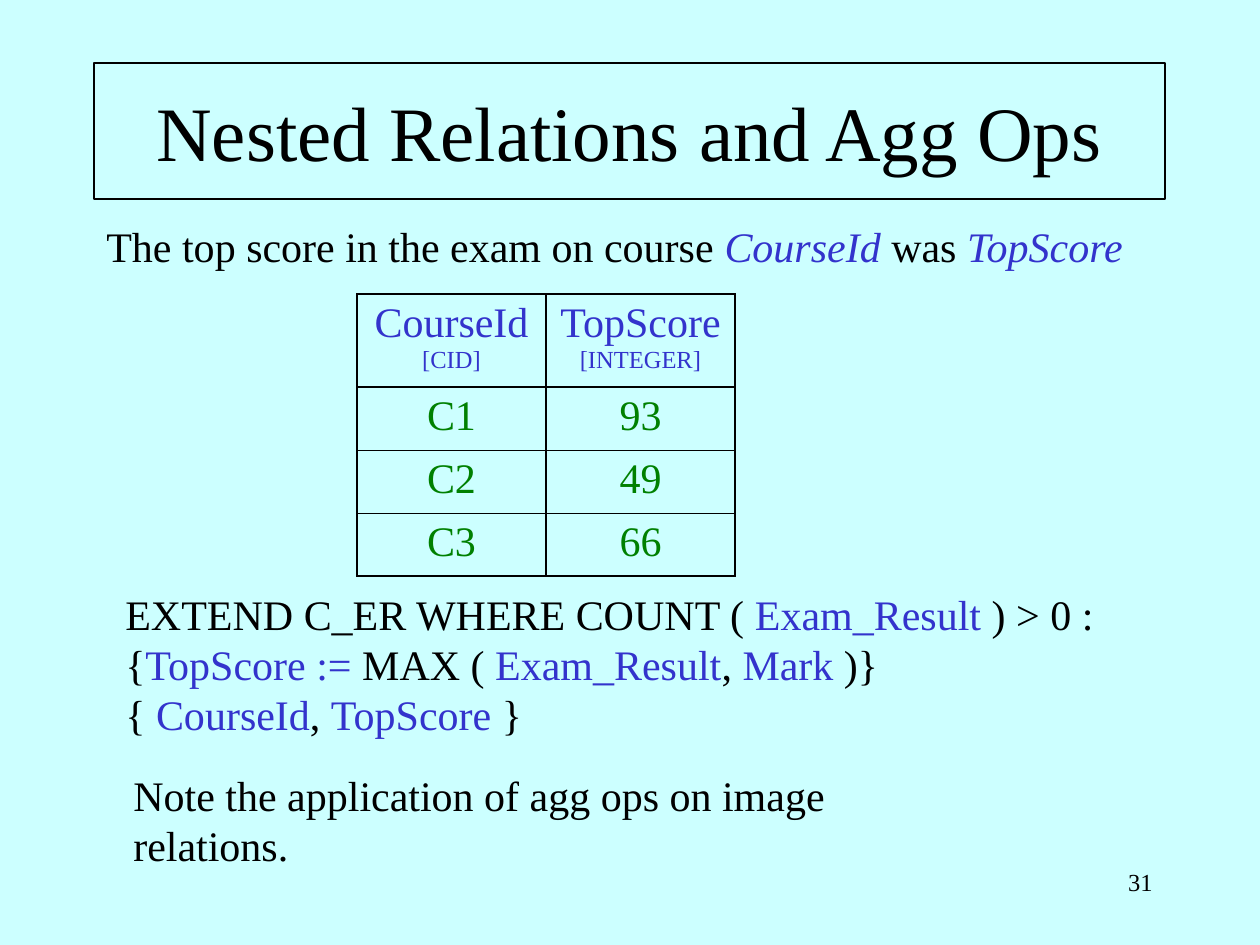
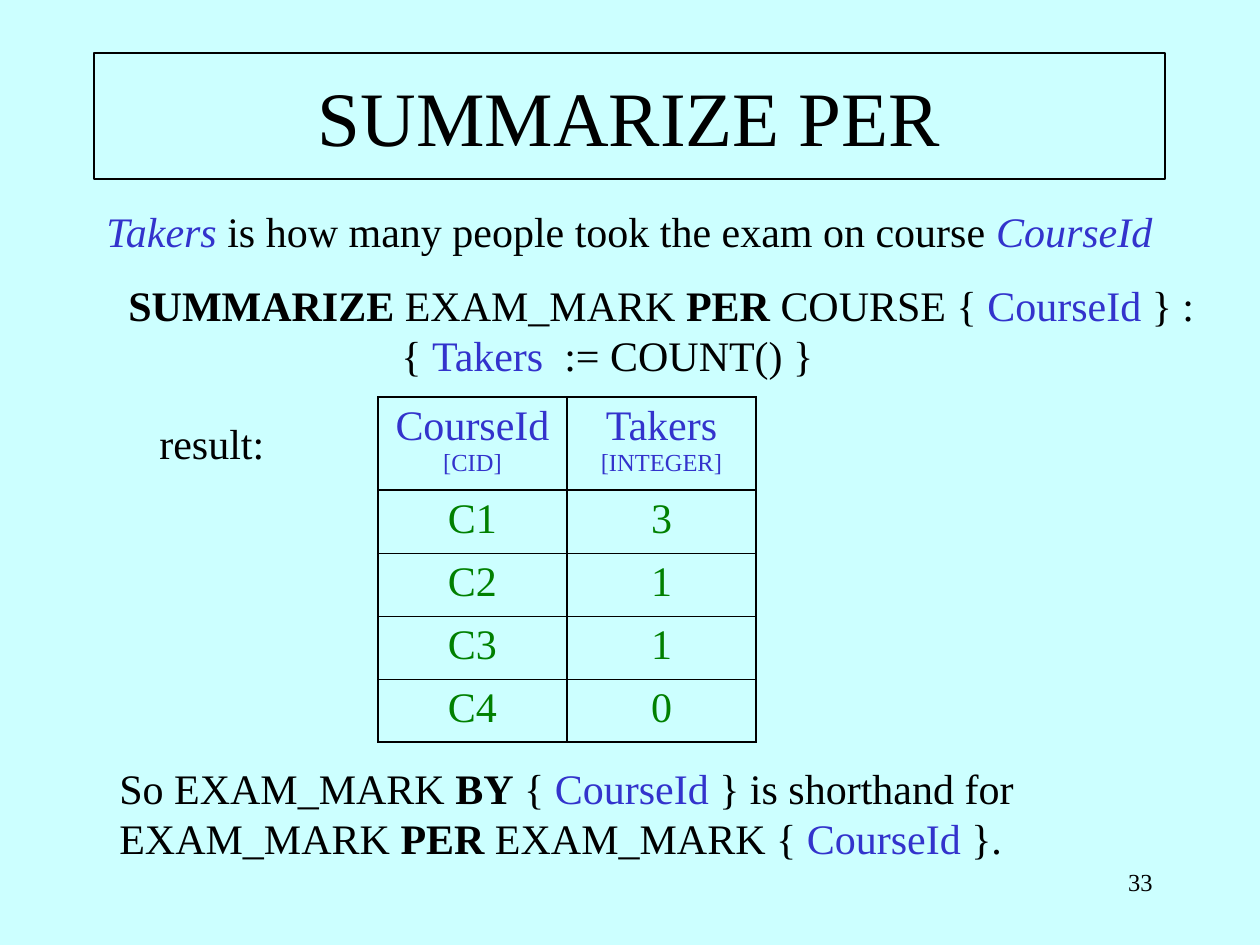
from dataclasses import dataclass

import lxml.etree
import pptx
import pptx.dml.color
import pptx.enum.shapes
import pptx.enum.text
import pptx.oxml.ns
import pptx.util

ALIGN = pptx.enum.text.PP_ALIGN
ANCHOR = pptx.enum.text.MSO_ANCHOR

SCALE = 914400 / 126
FONT = "Times New Roman"
PAPER, INK, BLUE, GREEN = "CCFFFF", "000000", "3333CC", "008000"
THICK, THIN = 1.08, 0.45
COL, HEAD, ROW = 189, 93, 63


@dataclass(frozen=True)
class Run:
    words: str
    color: str = INK
    bold: bool = False
    ital: bool = False
    size: int = 24


@dataclass(frozen=True)
class Line:
    runs: tuple
    indent: int = 0


@dataclass(frozen=True)
class Box:
    left: int
    top: int
    width: int
    height: int


@dataclass(frozen=True)
class Note:
    box: Box
    lines: tuple
    wrap: bool = False


@dataclass(frozen=True)
class Grid:
    left: int
    top: int
    heads: tuple
    rows: tuple


@dataclass(frozen=True)
class Page:
    title: str
    frame: Box
    notes: tuple
    grid: Grid
    number: int


def emu(px: int) -> int:
    return round(px * SCALE)


def place(box: Box) -> tuple:
    return tuple(emu(px) for px in (box.left, box.top, box.width, box.height))


def paint(hue: str):
    return pptx.dml.color.RGBColor.from_string(hue)


def name(words: str) -> Run:
    return Run(words, BLUE)


def slant(words: str) -> Run:
    return Run(words, BLUE, ital=True)


def strong(words: str) -> Run:
    return Run(words, bold=True)


def line(*runs, indent: int = 0) -> Line:
    """Make a line of runs; bare strings take the default format."""
    return Line(tuple(Run(r) if isinstance(r, str) else r for r in runs), indent)


def write(frame, lines, *, align=ALIGN.LEFT, anchor=ANCHOR.TOP,
          before: float = 0, wrap: bool = True) -> None:
    """Fill a text frame, one paragraph a line, with space before the first."""
    frame.word_wrap = wrap
    frame.vertical_anchor = anchor
    for i, row in enumerate(lines):
        para = frame.add_paragraph() if i else frame.paragraphs[0]
        para.alignment = align
        para.space_before = pptx.util.Pt(0 if i else before)
        if row.indent:
            para._p.get_or_add_pPr().set("marL", str(emu(row.indent)))
        for part in row.runs:
            run = para.add_run()
            run.text = part.words
            font = run.font
            font.name, font.size = FONT, pptx.util.Pt(part.size)
            font.bold, font.italic = part.bold, part.ital
            font.color.rgb = paint(part.color)


def add_title(slide, words: str, box: Box) -> None:
    shape = slide.shapes.add_shape(
        pptx.enum.shapes.MSO_SHAPE.RECTANGLE, *place(box))
    shape.shadow.inherit = False
    shape.fill.background()
    shape.line.color.rgb = paint(INK)
    shape.line.width = pptx.util.Pt(0.75)
    write(shape.text_frame, [line(Run(words, size=44))],
          align=ALIGN.CENTER, anchor=ANCHOR.MIDDLE)


def add_note(slide, note: Note, **form) -> None:
    frame = slide.shapes.add_textbox(*place(note.box)).text_frame
    frame.auto_size = pptx.enum.text.MSO_AUTO_SIZE.SHAPE_TO_FIT_TEXT
    write(frame, note.lines, wrap=note.wrap, **form)


def set_edges(cell, top: float, base: float) -> None:
    """Draw the four borders of a cell; they must precede its fill."""
    props = cell._tc.get_or_add_tcPr()
    sides = (("lnL", THICK), ("lnR", THICK), ("lnT", top), ("lnB", base))
    for i, (tag, width) in enumerate(sides):
        edge = lxml.etree.Element(pptx.oxml.ns.qn(f"a:{tag}"),
                                  w=str(pptx.util.Pt(width)))
        fill = lxml.etree.SubElement(edge, pptx.oxml.ns.qn("a:solidFill"))
        lxml.etree.SubElement(fill, pptx.oxml.ns.qn("a:srgbClr"), val=INK)
        props.insert(i, edge)


def add_grid(slide, grid: Grid) -> None:
    count, cols = len(grid.rows), len(grid.heads)
    box = Box(grid.left, grid.top, COL * cols, HEAD + ROW * count)
    table = slide.shapes.add_table(count + 1, cols, *place(box)).table
    table.first_row = table.horz_banding = False
    for col in table.columns:
        col.width = emu(COL)
    heads = [[line(name(word)), line(Run(kind, BLUE, size=14))]
             for word, kind in grid.heads]
    body = [[[line(Run(word, GREEN))] for word in row] for row in grid.rows]
    for r, cells in enumerate([heads, *body]):
        table.rows[r].height = emu(ROW if r else HEAD)
        for c, lines in enumerate(cells):
            cell = table.cell(r, c)
            cell.fill.background()
            set_edges(cell, THIN if r > 1 else THICK,
                      THIN if 0 < r < count else THICK)
            write(cell.text_frame, lines, align=ALIGN.CENTER,
                  before=6 if r else 3.5)


def add_page(deck, page: Page) -> None:
    slide = deck.slides.add_slide(deck.slide_layouts[6])
    add_title(slide, page.title, page.frame)
    for note in page.notes:
        add_note(slide, note)
    add_grid(slide, page.grid)
    foot = line(Run(str(page.number), size=14))
    add_note(slide, Note(Box(903, 861, 262, 63), (foot,), True),
             align=ALIGN.RIGHT)


PAGES = (
    Page(
        "Nested Relations and Agg Ops", Box(94, 63, 1071, 136),
        (
            Note(Box(94, 214, 1047, 63), (
                line("The top score in the exam on course ", slant("CourseId"),
                     " was ", slant("TopScore")),)),
            Note(Box(113, 582, 994, 164), (
                line("EXTEND C_ER WHERE COUNT ( ", name("Exam_Result"),
                     " ) > 0 :"),
                line("{", name("TopScore := "), "MAX ( ", name("Exam_Result"),
                     ", ", name("Mark"), " )}"),
                line("{ ", name("CourseId"), ", ", name("TopScore"), " }"))),
            Note(Box(121, 763, 882, 63), (
                line("Note the application of agg ops on image relations."),)),
        ),
        Grid(357, 294, (("CourseId", "[CID]"), ("TopScore", "[INTEGER]")),
             (("C1", "93"), ("C2", "49"), ("C3", "66"))),
        31,
    ),
    Page(
        "SUMMARIZE PER", Box(94, 53, 1071, 126),
        (
            Note(Box(94, 199, 1113, 63), (
                line(slant("Takers"),
                     " is how many people took the exam on course ",
                     slant("CourseId")),), True),
            Note(Box(116, 273, 1091, 113), (
                line(strong("SUMMARIZE"), " EXAM_MARK ", strong("PER"),
                     " COURSE { ", name("CourseId"), " } :"),
                line("{ ", name("Takers"), "  := COUNT() }", indent=273))),
            Note(Box(107, 756, 920, 113), (
                line("So EXAM_MARK ", strong("BY"), " { ", name("CourseId"),
                     " } is shorthand for"),
                line("EXAM_MARK ", strong("PER"), " EXAM_MARK { ",
                     name("CourseId"), " }."))),
            Note(Box(147, 411, 130, 63), (line("result:"),)),
        ),
        Grid(378, 397, (("CourseId", "[CID]"), ("Takers", "[INTEGER]")),
             (("C1", "3"), ("C2", "1"), ("C3", "1"), ("C4", "0"))),
        33,
    ),
)


def main() -> None:
    deck = pptx.Presentation()
    deck.slide_width, deck.slide_height = emu(1260), emu(945)
    back = deck.slide_master.background.fill
    back.solid()
    back.fore_color.rgb = paint(PAPER)
    for page in PAGES:
        add_page(deck, page)
    deck.save("out.pptx")


if __name__ == "__main__":
    main()
